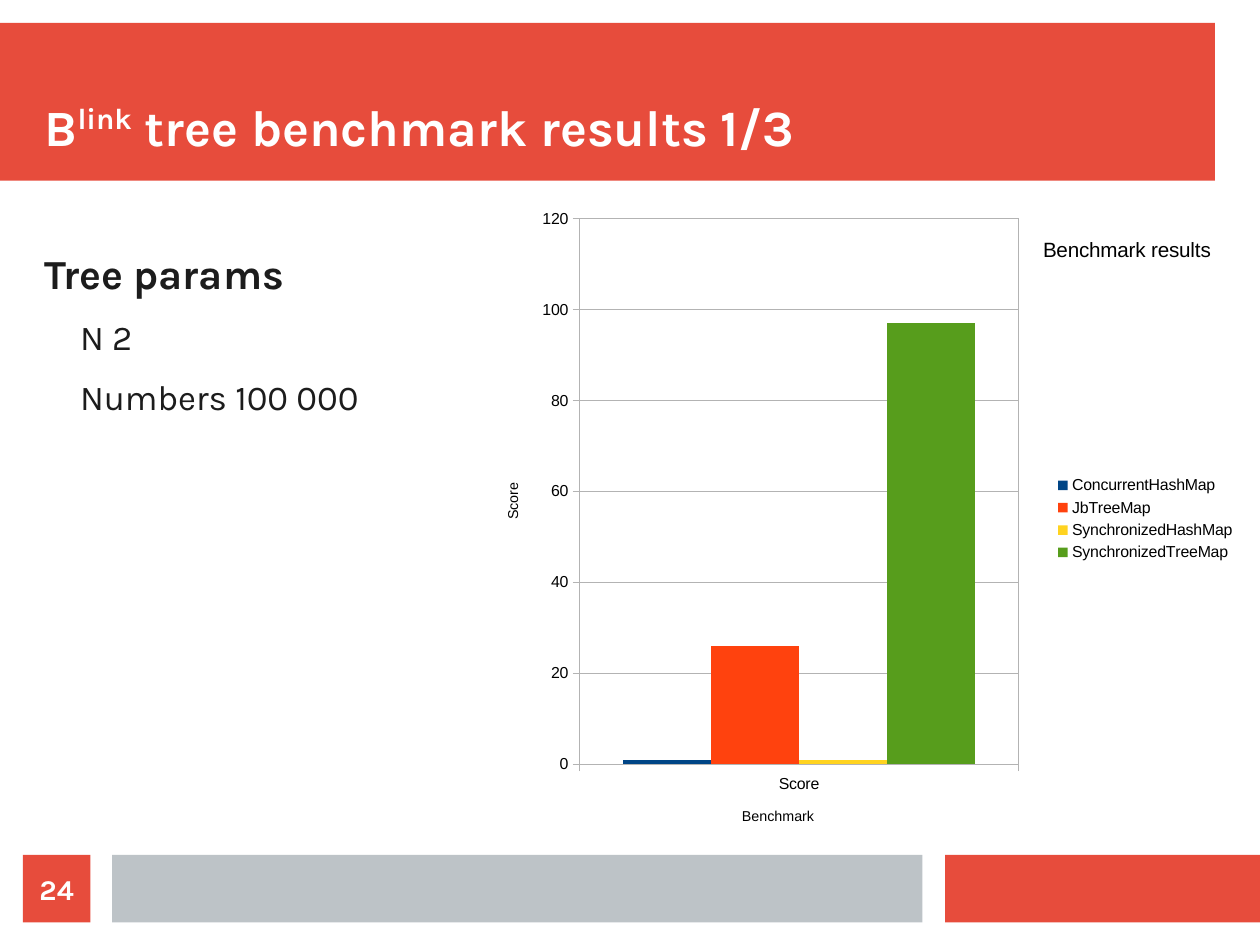
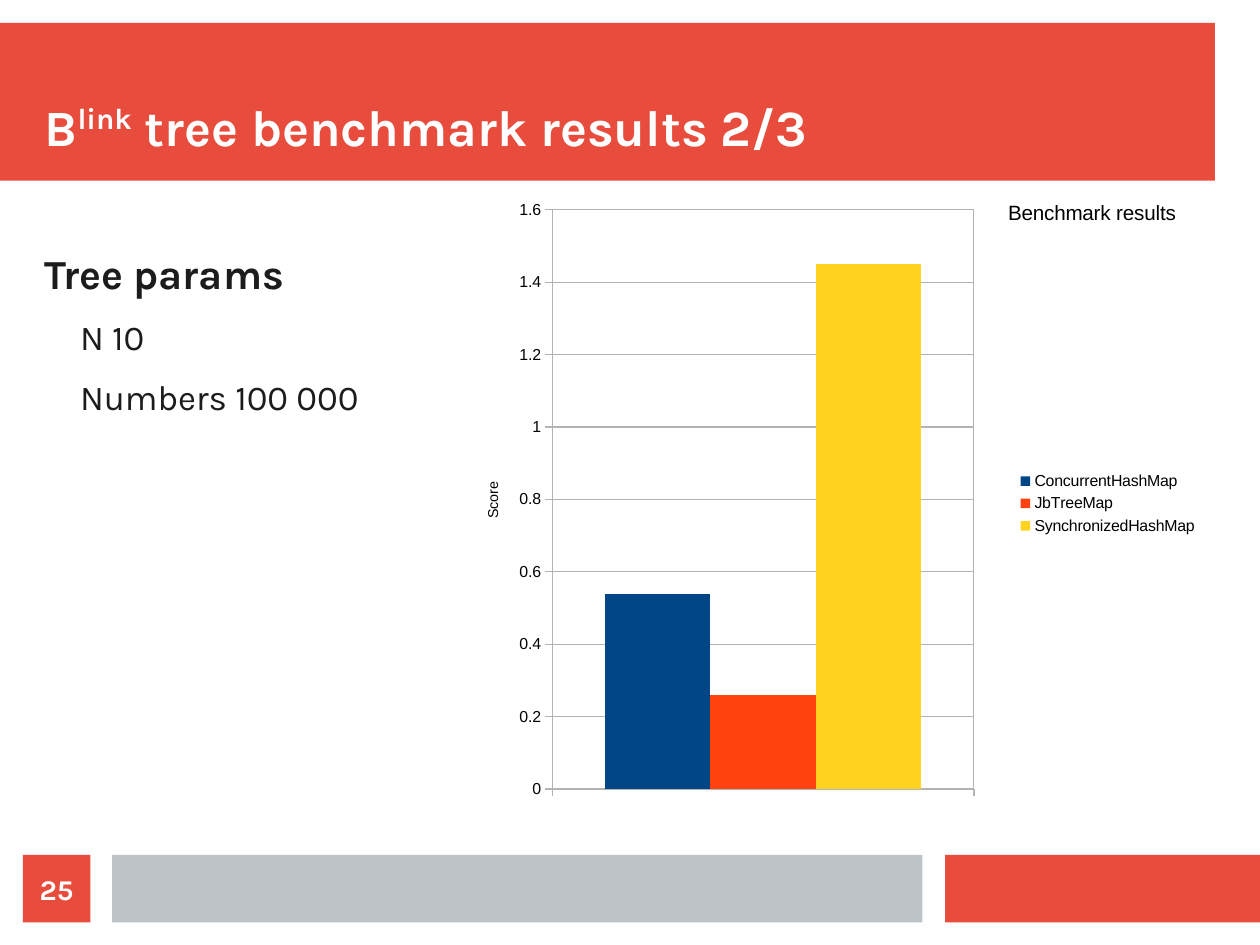
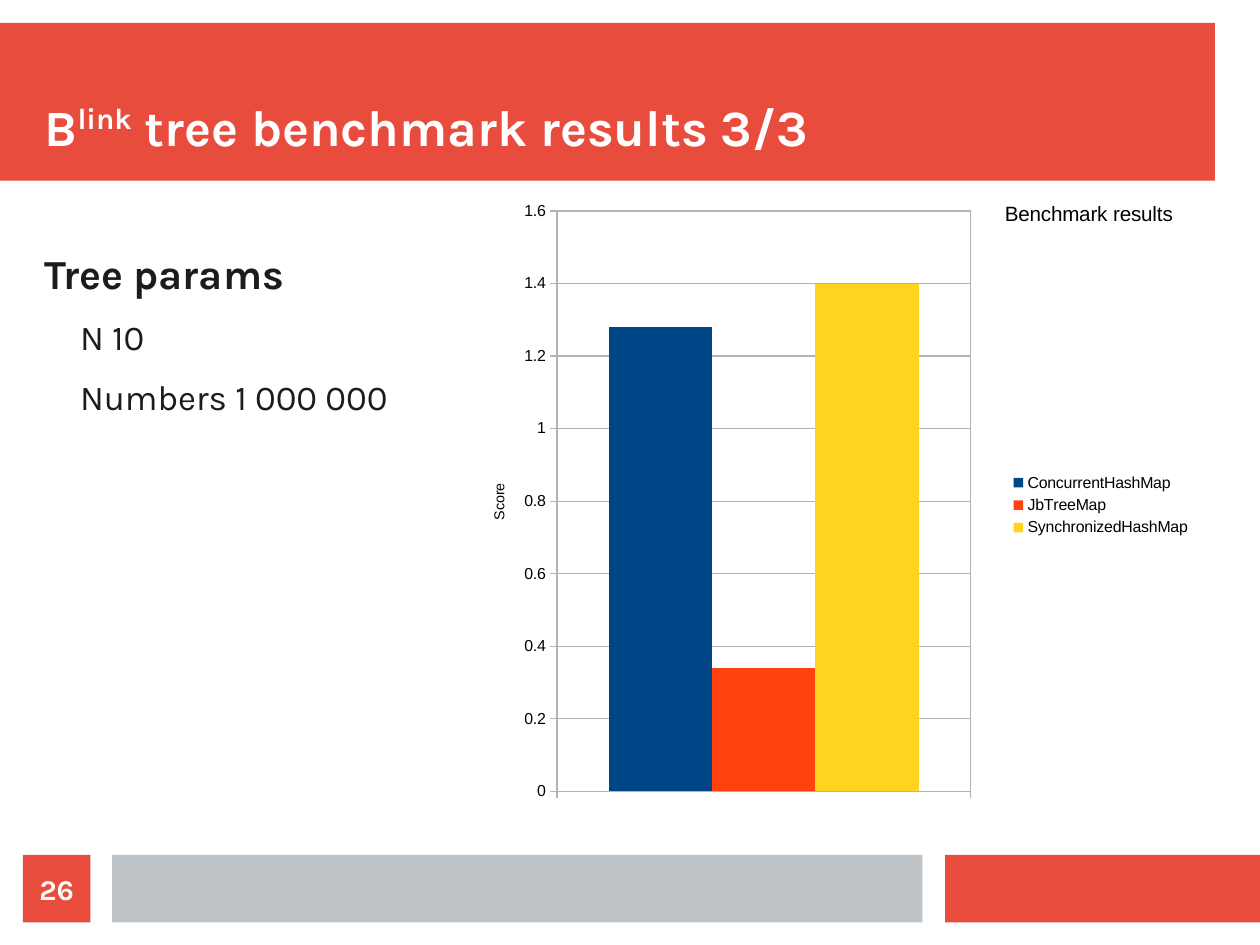
from lxml import etree
from pptx import Presentation
from pptx.chart.data import CategoryChartData
from pptx.dml.color import RGBColor
from pptx.enum.chart import XL_CHART_TYPE, XL_LEGEND_POSITION, XL_TICK_LABEL_POSITION, XL_TICK_MARK
from pptx.enum.shapes import MSO_SHAPE
from pptx.enum.text import MSO_ANCHOR, MSO_AUTO_SIZE, PP_ALIGN
from pptx.oxml import parse_xml
from pptx.oxml.ns import nsdecls, qn
from pptx.util import Inches, Pt

COLUMNS = XL_CHART_TYPE.COLUMN_CLUSTERED
LEGEND_RIGHT = XL_LEGEND_POSITION.RIGHT
NO_LABELS = XL_TICK_LABEL_POSITION.NONE
TICK_OUT, TICK_NONE = XL_TICK_MARK.OUTSIDE, XL_TICK_MARK.NONE
RECTANGLE = MSO_SHAPE.RECTANGLE
TOP, MIDDLE, BOTTOM = MSO_ANCHOR.TOP, MSO_ANCHOR.MIDDLE, MSO_ANCHOR.BOTTOM
NO_AUTOFIT = MSO_AUTO_SIZE.NONE
LEFT, CENTER = PP_ALIGN.LEFT, PP_ALIGN.CENTER

RED = RGBColor(0xE7, 0x4C, 0x3C)
SILVER = RGBColor(0xBD, 0xC3, 0xC7)
GRID = RGBColor(0xB3, 0xB3, 0xB3)
INK = RGBColor(0x1C, 0x1C, 0x1C)
WHITE = RGBColor(0xFF, 0xFF, 0xFF)
BLACK = RGBColor(0, 0, 0)
SERIES_COLORS = {
    "ConcurrentHashMap": RGBColor(0x00, 0x45, 0x86),
    "JbTreeMap": RGBColor(0xFF, 0x42, 0x0E),
    "SynchronizedHashMap": RGBColor(0xFF, 0xD3, 0x20),
    "SynchronizedTreeMap": RGBColor(0x57, 0x9D, 0x1C),
}

HEADING_FONT = {"name": "Karla", "size": Pt(32), "bold": True}
PARAMS_FONT = {"name": "Karla", "size": Pt(26), "bold": True}
PARAM_FONT = {"name": "Karla", "size": Pt(22), "bold": False}
NUMBER_FONT = {"name": "Karla", "size": Pt(18), "bold": True}
CHART_FONT = {"name": "Arial", "size": Pt(10), "bold": False}
CHART_TITLE_FONT = {**CHART_FONT, "size": Pt(13)}
AXIS_TITLE_FONT = {**CHART_FONT, "size": Pt(9)}
FRAME = {"margin_left": 0, "margin_top": 0, "margin_right": 0, "margin_bottom": 0,
         "word_wrap": True, "auto_size": NO_AUTOFIT}

CM_PER_INCH = 2.54
SLIDE_WIDTH = Inches(28 / CM_PER_INCH)
SLIDE_HEIGHT = Inches(21 / CM_PER_INCH)
BANDS = [
    ((0, 0.2, 10.63, 1.38), RED),
    ((8.27, 7.48, 2.76, 0.59), RED),
    ((0.98, 7.48, 7.09, 0.59), SILVER),
]
FIRST_NUMBER = 24

BENCHMARKS = [
    {"params": ["N 2", "Numbers 100 000"], "box": (4.18, 1.7, 6.73, 5.68),
     "category": "Score", "scores": [1, 26, 1, 97], "axis": (120, 20),
     "plot": (0.084, 0.024, 0.619, 0.899), "title_at": (0.73, 0.06),
     "score_at": (0.03, 0.44), "benchmark_at": (0.34, 0.94)},
    {"params": ["N 10", "Numbers 100 000"], "box": (3.94, 1.72, 6.64, 5.37),
     "category": "1", "scores": [0.54, 0.26, 1.45], "axis": (1.6, 0.2),
     "plot": (0.091, 0.007, 0.599, 0.973), "title_at": (0.73, 0),
     "score_at": (0.04, 0.46)},
    {"params": ["N 10", "Numbers 1 000 000"], "box": (4, 1.73, 6.52, 5.38),
     "category": "1", "scores": [1.28, 0.34, 1.4], "axis": (1.6, 0.2),
     "plot": (0.09, 0.007, 0.599, 0.973), "title_at": (0.73, 0),
     "score_at": (0.04, 0.46)},
]


def apply(target, values):
    for name, value in values.items():
        setattr(target, name, value)


def style_font(font, values, color):
    apply(font, values)
    font.color.rgb = color


def lengths(box):
    return [Inches(value) for value in box]


def set_layout(parent, index, position, target=None):
    for old in parent.findall(qn("c:layout")):
        parent.remove(old)
    layout = etree.Element(qn("c:layout"))
    manual = etree.SubElement(layout, qn("c:manualLayout"))
    settings = [("layoutTarget", target)] if target else []
    settings += [("xMode", "edge"), ("yMode", "edge")]
    settings += zip("xywh", position)
    for tag, value in settings:
        etree.SubElement(manual, qn(f"c:{tag}")).set("val", str(value))
    parent.insert(index, layout)


class Deck:
    def __init__(self, presentation):
        self.presentation = presentation
        self.layout = presentation.slide_layouts[1]
        self.slide = None

    def new_slide(self):
        self.slide = self.presentation.slides.add_slide(self.layout)
        if len(self.presentation.slides) == 1:
            self.shared_bands()

    def shared_bands(self):
        for index, (box, color) in enumerate(BANDS):
            band = self.rectangle(box, color).element
            band.nvSpPr.cNvPr.id = 20 + index
            self.layout.shapes.element.insert(2 + index, band)

    def rectangle(self, box, color):
        shape = self.slide.shapes.add_shape(RECTANGLE, *lengths(box))
        shape.shadow.inherit = False
        shape.fill.solid()
        shape.fill.fore_color.rgb = color
        shape.line.fill.background()
        return shape

    def placeholder(self, shape, box, anchor):
        apply(shape, dict(zip(("left", "top", "width", "height"), lengths(box))))
        apply(shape.text_frame, {**FRAME, "vertical_anchor": anchor})
        return shape.text_frame

    def title(self, part):
        heading = self.placeholder(self.slide.shapes.title, (0.39, 0.39, 10.24, 0.98), BOTTOM)
        paragraph = heading.paragraphs[0]
        paragraph.alignment = LEFT
        for text, baseline in (("B", 0), ("link", 33000), (f" tree benchmark results {part}", 0)):
            run = paragraph.add_run()
            run.text = text
            style_font(run.font, HEADING_FONT, WHITE)
            if baseline:
                run.font._element.set("baseline", str(baseline))

    def parameters(self, params):
        body = self.placeholder(self.slide.placeholders[1], (0.39, 2.17, 10.04, 5.12), TOP)
        for index, text in enumerate(["Tree params", *params]):
            paragraph = body.add_paragraph() if index else body.paragraphs[0]
            paragraph.text = text
            properties = paragraph._p.get_or_add_pPr()
            properties.set("marL", str(Inches(0.31) if index else 0))
            properties.set("indent", "0")
            etree.SubElement(properties, qn("a:buNone"))
            apply(paragraph, {"level": min(index, 1), "alignment": LEFT, "space_before": Pt(0),
                              "space_after": Pt(11.3 if index else 11.4)})
            style_font(paragraph.runs[0].font, PARAM_FONT if index else PARAMS_FONT, INK)

    def number(self, value):
        badge = self.rectangle((0.2, 7.48, 0.59, 0.59), RED).text_frame
        apply(badge, {**FRAME, "vertical_anchor": MIDDLE})
        badge.text = str(value)
        badge.paragraphs[0].alignment = CENTER
        style_font(badge.paragraphs[0].runs[0].font, NUMBER_FONT, WHITE)

    def chart_text(self, title, text, font, position):
        title.text_frame.text = text
        style_font(title.text_frame.paragraphs[0].runs[0].font, font, BLACK)
        set_layout(title.element, 1, position)

    def hairline(self, line):
        line.color.rgb = GRID
        line.width = 0

    def chart(self, benchmark):
        data = CategoryChartData(number_format="General")
        data.categories = [benchmark["category"]]
        for name, score in zip(SERIES_COLORS, benchmark["scores"]):
            data.add_series(name, [score])
        chart = self.slide.shapes.add_chart(COLUMNS, *lengths(benchmark["box"]), data).chart
        style_font(chart.font, CHART_FONT, BLACK)
        apply(chart, {"has_title": True, "has_legend": True})
        self.chart_text(chart.chart_title, "Benchmark results", CHART_TITLE_FONT,
                        benchmark["title_at"])
        apply(chart.legend, {"position": LEGEND_RIGHT, "include_in_layout": False})
        style_font(chart.legend.font, CHART_FONT, BLACK)
        self.columns(chart.plots[0])
        self.axes(chart, benchmark)
        self.backgrounds(chart, benchmark["plot"])

    def columns(self, plot):
        apply(plot, {"gap_width": 100, "overlap": 0, "vary_by_categories": False})
        for series in plot.series:
            series.invert_if_negative = False
            series.format.fill.solid()
            series.format.fill.fore_color.rgb = SERIES_COLORS[series.name]

    def axes(self, chart, benchmark):
        categories, scores = chart.category_axis, chart.value_axis
        for axis in (categories, scores):
            apply(axis, {"major_tick_mark": TICK_OUT, "minor_tick_mark": TICK_NONE})
            style_font(axis.tick_labels.font, CHART_FONT, BLACK)
            self.hairline(axis.format.line)
        maximum, step = benchmark["axis"]
        apply(scores, {"minimum_scale": 0, "maximum_scale": maximum, "major_unit": step,
                       "has_major_gridlines": True})
        self.hairline(scores.major_gridlines.format.line)
        self.chart_text(scores.axis_title, "Score", AXIS_TITLE_FONT, benchmark["score_at"])
        rotation = scores.axis_title.element.find(".//" + qn("a:bodyPr"))
        rotation.set("rot", "-5400000")
        rotation.set("vert", "horz")
        if "benchmark_at" in benchmark:
            self.chart_text(categories.axis_title, "Benchmark", AXIS_TITLE_FONT,
                            benchmark["benchmark_at"])
        else:
            categories.has_title = False
            categories.tick_label_position = NO_LABELS

    def backgrounds(self, chart, position):
        plot_area = chart.element.find(".//" + qn("c:plotArea"))
        set_layout(plot_area, 0, position, "outer")
        namespaces = nsdecls("c", "a")
        plot_area.append(parse_xml(
            f'<c:spPr {namespaces}><a:noFill/><a:ln w="0"><a:solidFill>'
            f'<a:srgbClr val="{GRID}"/></a:solidFill></a:ln></c:spPr>'))
        chart.element.find(qn("c:txPr")).addprevious(parse_xml(
            f'<c:spPr {namespaces}><a:solidFill><a:srgbClr val="{WHITE}"/></a:solidFill>'
            f'<a:ln><a:noFill/></a:ln></c:spPr>'))


def main():
    presentation = Presentation()
    presentation.slide_width = SLIDE_WIDTH
    presentation.slide_height = SLIDE_HEIGHT
    deck = Deck(presentation)
    for index, benchmark in enumerate(BENCHMARKS):
        deck.new_slide()
        deck.title(f"{index + 1}/{len(BENCHMARKS)}")
        deck.parameters(benchmark["params"])
        deck.chart(benchmark)
        deck.number(FIRST_NUMBER + index)
    presentation.save("out.pptx")


if __name__ == "__main__":
    main()
